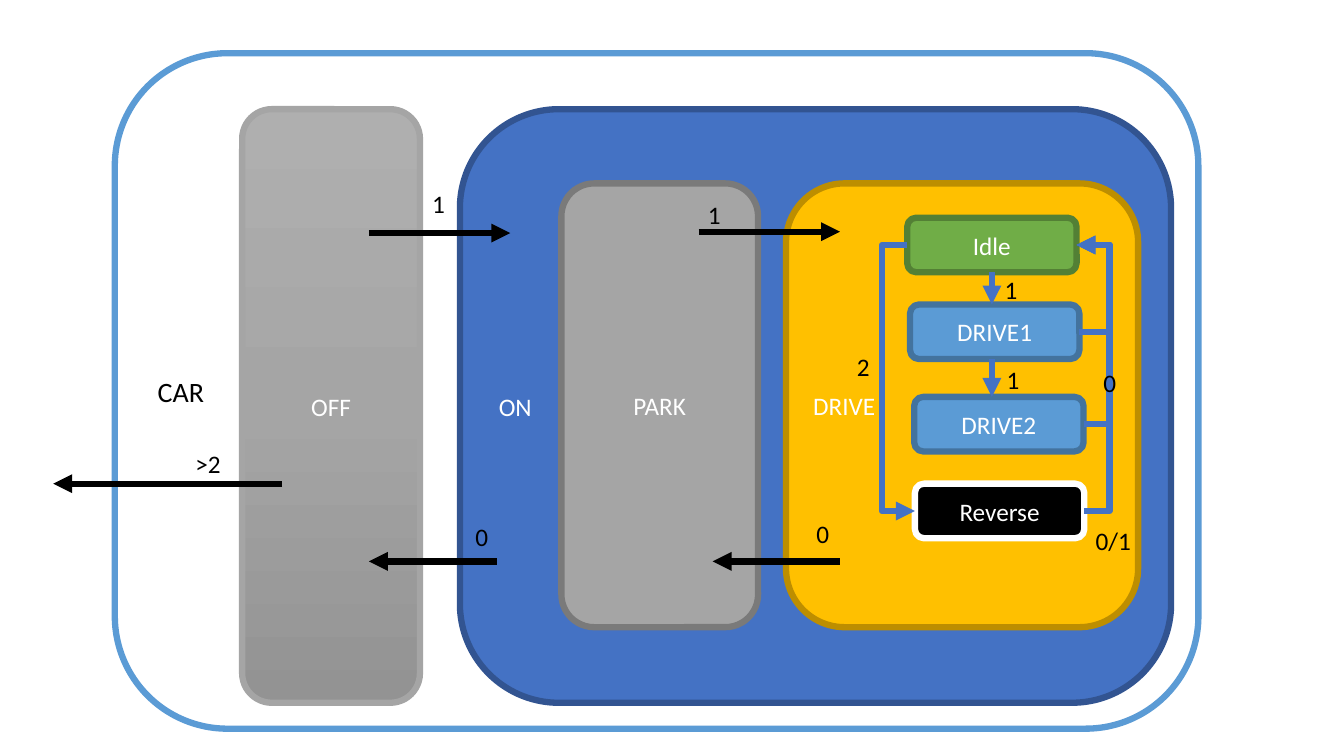
from copy import deepcopy
from pptx import Presentation
from pptx import util as u
from pptx.dml.color import RGBColor
from pptx.enum import shapes, text
from pptx.oxml import ns, xmlchemy

BLACK = RGBColor(0x00, 0x00, 0x00)
WHITE = RGBColor(0xFF, 0xFF, 0xFF)
BLUE = RGBColor(0x44, 0x72, 0xC4)
DARK_BLUE = RGBColor(0x32, 0x54, 0x91)
SKY = RGBColor(0x5B, 0x9B, 0xD5)
DARK_SKY = RGBColor(0x43, 0x73, 0x9E)
GRAY = RGBColor(0xA5, 0xA5, 0xA5)
DARK_GRAY = RGBColor(0x7A, 0x7A, 0x7A)
GRAY_TOP = RGBColor(0xAF, 0xAF, 0xAF)
GRAY_BOTTOM = RGBColor(0x93, 0x93, 0x93)
GOLD = RGBColor(0xFF, 0xC0, 0x00)
DARK_GOLD = RGBColor(0xBD, 0x8E, 0x00)
GREEN = RGBColor(0x70, 0xAD, 0x47)
DARK_GREEN = RGBColor(0x53, 0x80, 0x35)
LEFT, CENTER = text.PP_ALIGN.LEFT, text.PP_ALIGN.CENTER
LEFT_SITE, RIGHT_SITE = 1, 3


class Diagram:
    font = "Calibri"
    size = 18
    line_width = 4.5

    def __init__(self, slide):
        self.slide = slide

    def add_words(self, shape, words, color, align, size):
        shape.text_frame.word_wrap = True
        paragraph = shape.text_frame.paragraphs[0]
        paragraph.alignment = align
        run = paragraph.add_run()
        run.text = words
        run.font.name = self.font
        run.font.size = u.Pt(size)
        run.font.color.rgb = color

    def state(self, words, box, fill, line, align=CENTER, color=WHITE, size=size):
        shape = self.slide.shapes.add_shape(
            shapes.MSO_SHAPE.ROUNDED_RECTANGLE, *map(u.Pt, box))
        shape.shadow.inherit = False
        shape.fill.solid()
        shape.fill.fore_color.rgb = fill
        shape.line.color.rgb = line
        shape.line.width = u.Pt(self.line_width)
        shape.text_frame.vertical_anchor = text.MSO_ANCHOR.MIDDLE
        self.add_words(shape, words, color, align, size)
        return shape

    def shade(self, shape, colors):
        shape.fill.gradient()
        shape.fill.gradient_angle = 270
        stop_list = shape._element.spPr.find(".//" + ns.qn("a:gsLst"))
        while len(stop_list) < len(colors):
            stop_list.append(deepcopy(stop_list[0]))
        for index, (stop, color) in enumerate(zip(shape.fill.gradient_stops, colors)):
            stop.position = index / (len(colors) - 1)
            stop.color.rgb = color

    def arrow(self, start, end, color, kind=shapes.MSO_CONNECTOR.STRAIGHT):
        connector = self.slide.shapes.add_connector(kind, *map(u.Pt, start + end))
        connector.line.color.rgb = color
        connector.line.width = u.Pt(self.line_width)
        head = xmlchemy.OxmlElement("a:tailEnd")
        head.set("type", "triangle")
        connector.line._get_or_add_ln().append(head)
        connector._element.spPr.append(xmlchemy.OxmlElement("a:effectLst"))
        return connector

    def detour(self, source, target, site, lane):
        connector = self.arrow((0, 0), (0, 0), BLUE, shapes.MSO_CONNECTOR.ELBOW)
        connector.begin_connect(source, site)
        connector.end_connect(target, site)
        span = connector.end_x - connector.begin_x
        bend = round((u.Pt(lane) - connector.begin_x) / span * 100000)
        guide = xmlchemy.OxmlElement("a:gd")
        guide.set("name", "adj1")
        guide.set("fmla", f"val {bend}")
        geometry = connector._element.spPr.find(ns.qn("a:prstGeom"))
        geometry.get_or_add_avLst().append(guide)

    def label(self, words, left, top, width=17.5):
        box = self.slide.shapes.add_textbox(*map(u.Pt, (left, top, width, 29)))
        self.add_words(box, words, BLACK, LEFT, self.size)


presentation = Presentation()
presentation.slide_width = u.Pt(960)
presentation.slide_height = u.Pt(540)
diagram = Diagram(presentation.slides.add_slide(presentation.slide_layouts[6]))

diagram.state("CAR", (82, 38, 774, 482.5), WHITE, SKY, LEFT, BLACK, 20)
off = diagram.state("OFF", (173, 78, 127, 424), GRAY, GRAY)
diagram.shade(off, (GRAY_TOP, GRAY, GRAY_BOTTOM))
diagram.state("ON", (328.5, 78, 508, 424), BLUE, DARK_BLUE, LEFT)
diagram.state("PARK", (401, 131, 140.5, 317), GRAY, DARK_GRAY)
diagram.state("DRIVE", (561.5, 131, 251.5, 317), GOLD, DARK_GOLD, LEFT)

idle, drive1, drive2, reverse = [
    diagram.state(words, (left, top, 121, 39), fill, line)
    for words, left, top, fill, line in (
        ("Idle", 648, 155.5, GREEN, DARK_GREEN),
        ("DRIVE1", 650, 217.5, SKY, DARK_SKY),
        ("DRIVE2", 653, 283.5, SKY, DARK_SKY),
        ("Reverse", 653.5, 345.5, BLACK, WHITE),
    )
]

for top, bottom in ((194.5, 217.5), (256.5, 283.5)):
    diagram.arrow((708.5, top), (708.5, bottom), BLUE)
for gear in (drive2, drive1, reverse):
    diagram.detour(gear, idle, RIGHT_SITE, 792.5)
diagram.detour(idle, reverse, LEFT_SITE, 630)

for start, end, height in (
    (263.5, 364.5, 166.5),
    (499, 600, 165.5),
    (600, 509, 401),
    (355, 263.5, 401),
    (201.5, 38, 345.5),
):
    diagram.arrow((start, height), (end, height), BLACK)

for words, left, top in (
    ("1", 301.5, 131),
    ("1", 498.5, 139),
    ("1", 710.5, 192.5),
    ("1", 712, 257),
    ("2", 605, 247.5),
    ("0", 576, 366.5),
    ("0", 781, 258.5),
    ("0", 332.5, 368.5),
):
    diagram.label(words, left, top)
diagram.label("0/1", 775.5, 372, 47)
diagram.label(">2", 132.5, 317, 38)

presentation.save("out.pptx")
